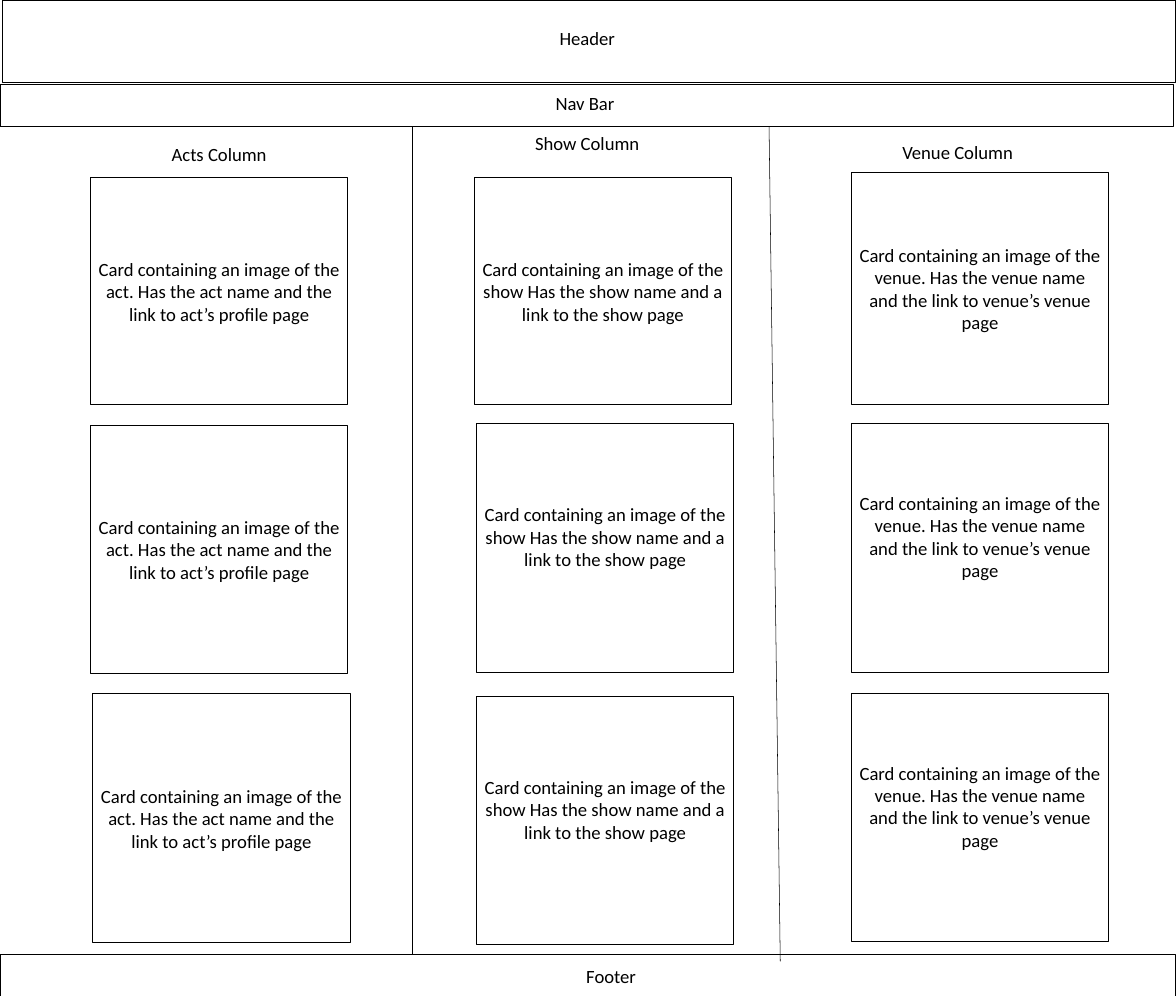
from dataclasses import dataclass

import pptx
import pptx.dml.color
import pptx.enum.shapes
import pptx.enum.text
import pptx.oxml
import pptx.util

Inches = pptx.util.Inches
Pt = pptx.util.Pt
BLACK = pptx.dml.color.RGBColor(0, 0, 0)
FONT = "Calibri"
TEXT_SIZE = 18
LABEL_W, LABEL_H = 5.87, 0.48
CARD_W = 3.45
INSET = 0.05
RAISED_INSET = 0.35  # lifts the text by half a line


@dataclass
class Bar:
    name: str
    left: float
    top: float
    width: float
    height: float
    label_left: float
    label_top: float


@dataclass
class Card:
    left: float
    top: float
    height: float
    raised: bool = False


@dataclass
class Column:
    title: str
    title_left: float
    title_top: float
    card_text: str
    cards: list[Card]


@dataclass
class Divider:
    x1: float
    y1: float
    x2: float
    y2: float


BARS = [
    Bar("Header", 0.03, 0, 15.72, 1.11, 4.93, 0.31),
    Bar("Nav Bar", 0, 1.13, 15.72, 0.57, 4.9, 1.18),
    Bar("Footer", 0, 12.78, 15.75, 0.57, 5.25, 12.87),
]
DIVIDERS = [Divider(5.52, 1.7, 5.52, 12.78), Divider(10.3, 1.7, 10.45, 12.87)]
COLUMNS = [
    Column("Acts Column", 0, 1.86,
           "Card containing an image of the act. Has the act name and the "
           "link to act’s profile page",
           [Card(1.21, 2.38, 3.04), Card(1.21, 5.69, 3.33), Card(1.24, 9.29, 3.33)]),
    Column("Show Column", 4.93, 1.71,
           "Card containing an image of the show Has the show name and a "
           "link to the show page",
           [Card(6.35, 2.38, 3.04), Card(6.38, 5.67, 3.33, True),
            Card(6.38, 9.32, 3.33, True)]),
    Column("Venue Column", 9.89, 1.84,
           "Card containing an image of the venue. Has the venue name and "
           "the link to venue’s venue page",
           [Card(11.4, 2.31, 3.11), Card(11.4, 5.67, 3.33, True),
            Card(11.4, 9.28, 3.33, True)]),
]


def write_centred(tf, text: str) -> None:
    tf.word_wrap = True
    p = tf.paragraphs[0]
    p.alignment = pptx.enum.text.PP_ALIGN.CENTER
    r = p.add_run()
    r.text = text
    r.font.name = FONT
    r.font.size = Pt(TEXT_SIZE)
    r.font.color.rgb = BLACK


def add_outline(slide, left: float, top: float, width: float, height: float):
    """Add an unfilled rectangle with a thin black border."""
    sp = slide.shapes.add_shape(
        pptx.enum.shapes.MSO_SHAPE.RECTANGLE,
        Inches(left), Inches(top), Inches(width), Inches(height))
    sp.shadow.inherit = False
    sp.fill.background()
    sp.line.color.rgb = BLACK
    sp.line.width = Pt(1)
    return sp


def add_label(slide, text: str, left: float, top: float) -> None:
    sp = slide.shapes.add_textbox(
        Inches(left), Inches(top), Inches(LABEL_W), Inches(LABEL_H))
    write_centred(sp.text_frame, text)


def add_card(slide, card: Card, text: str) -> None:
    sp = add_outline(slide, card.left, card.top, CARD_W, card.height)
    tf = sp.text_frame
    tf.vertical_anchor = pptx.enum.text.MSO_ANCHOR.MIDDLE
    tf.margin_bottom = Inches(RAISED_INSET if card.raised else INSET)
    write_centred(tf, text)


def add_divider(slide, divider: Divider) -> None:
    line = slide.shapes.add_connector(
        pptx.enum.shapes.MSO_CONNECTOR.STRAIGHT,
        Inches(divider.x1), Inches(divider.y1),
        Inches(divider.x2), Inches(divider.y2))
    line.line.color.rgb = BLACK
    line.line.width = Pt(0.5)
    effects = pptx.oxml.parse_xml(
        '<a:effectLst xmlns:a="http://schemas.openxmlformats.org/drawingml/2006/main"/>')
    line._element.spPr.append(effects)


def main() -> None:
    prs = pptx.Presentation()
    prs.slide_width = Inches(15.75)
    prs.slide_height = Inches(40) // 3
    slide = prs.slides.add_slide(prs.slide_layouts[6])
    for bar in BARS:
        add_outline(slide, bar.left, bar.top, bar.width, bar.height)
        add_label(slide, bar.name, bar.label_left, bar.label_top)
    for divider in DIVIDERS:
        add_divider(slide, divider)
    for column in COLUMNS:
        add_label(slide, column.title, column.title_left, column.title_top)
        for card in column.cards:
            add_card(slide, card, column.card_text)
    prs.save("out.pptx")


if __name__ == "__main__":
    main()
